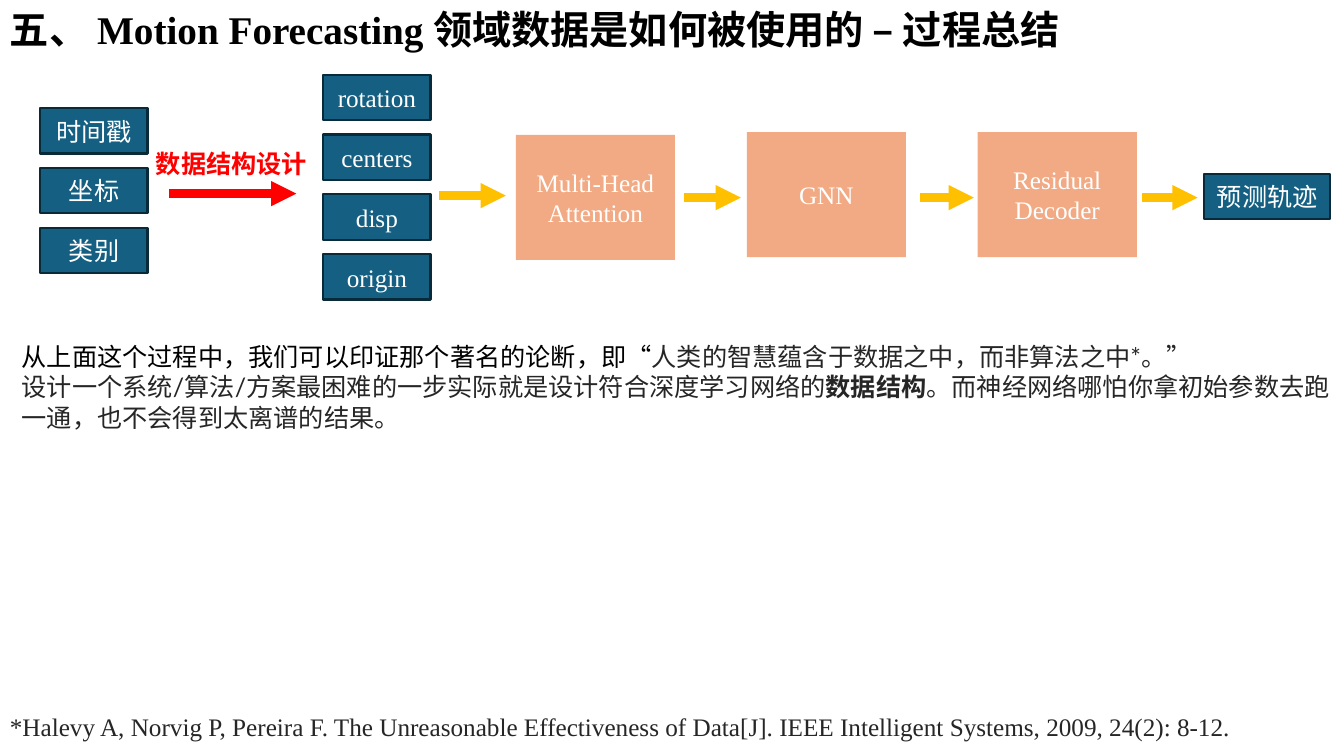
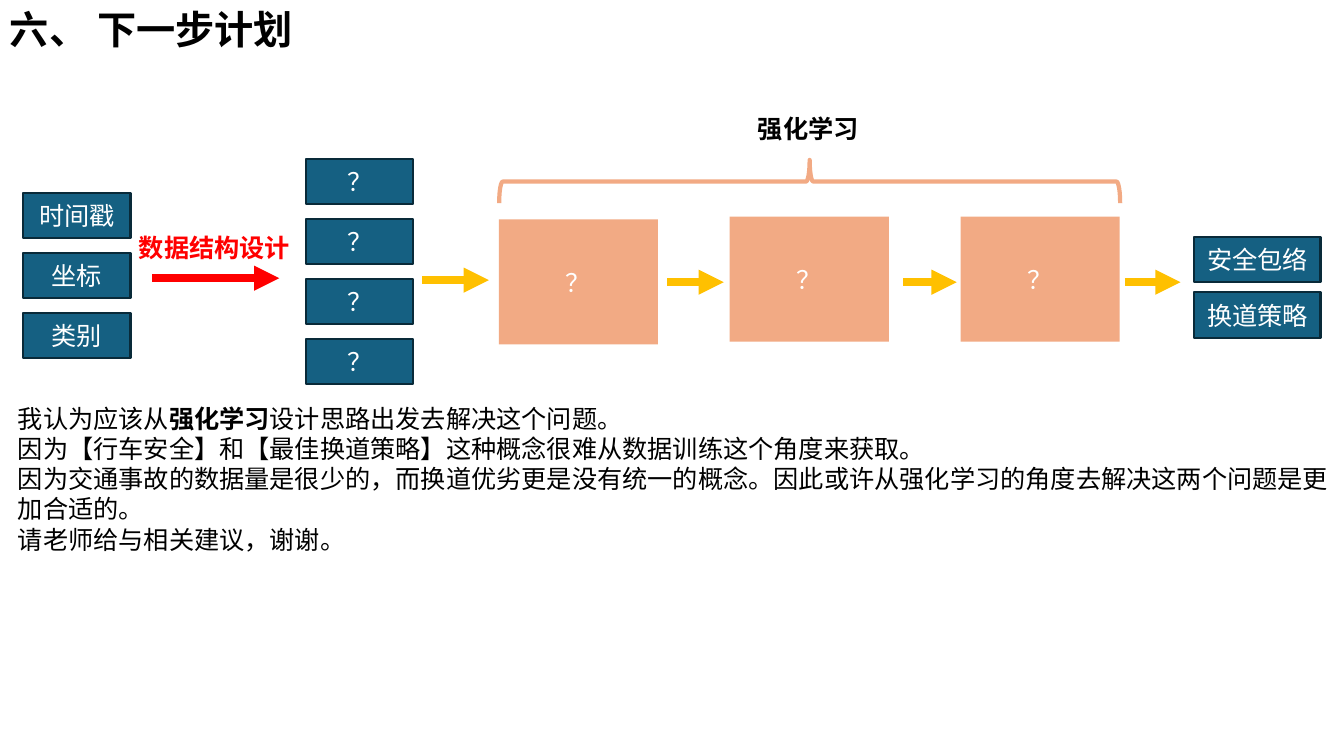
from dataclasses import dataclass, replace

from lxml.etree import SubElement
from pptx import Presentation
from pptx.dml.color import RGBColor
from pptx.enum.lang import MSO_LANGUAGE_ID
from pptx.enum.shapes import MSO_CONNECTOR, MSO_SHAPE
from pptx.enum.text import MSO_ANCHOR, PP_ALIGN
from pptx.oxml.ns import qn
from pptx.util import Cm, Pt

BLACK = RGBColor(0x00, 0x00, 0x00)
INK = RGBColor(0x26, 0x26, 0x26)
WHITE = RGBColor(0xFF, 0xFF, 0xFF)
TEAL = RGBColor(0x15, 0x60, 0x82)
NAVY = RGBColor(0x09, 0x2A, 0x39)
PEACH = RGBColor(0xF2, 0xAA, 0x84)
AMBER = RGBColor(0xFF, 0xC0, 0x00)
RED = RGBColor(0xFF, 0x00, 0x00)


@dataclass(frozen=True)
class TextStyle:
    color: RGBColor = BLACK
    bold: bool = False
    font: str = "Times New Roman"
    size: int = 18


PLAIN = TextStyle()
STRONG = TextStyle(bold=True)
HEADING = TextStyle(bold=True, size=28)
ON_FILL = TextStyle(WHITE)
CALLOUT = TextStyle(RED, bold=True)
CITATION = TextStyle(INK)
QUOTE = TextStyle(INK, font="Lato")

DATA_HEIGHT, DATA_WIDTH, RESULT_WIDTH = 1.14, 2.7, 3.18
DATA_STEP, RESULT_STEP = 1.51, 1.4
MODEL_WIDTH, MODEL_HEIGHT, MODEL_STEP = 4.01, 3.15, 5.82
MODEL_TOPS = (3.4, 3.33, 3.33)
# start, end and height of the arrows between the stages
FLOW = ((11.07, 12.75, 4.93), (17.25, 18.67, 4.98),
        (23.19, 24.54, 4.98), (28.78, 30.18, 4.98))
INPUTS = ("时间戳", "坐标", "类别")


class Deck:
    def __init__(self):
        self.presentation = Presentation()
        self.presentation.slide_width = Cm(33.87)
        self.presentation.slide_height = Cm(19.05)
        self.slide = None

    def new_slide(self, title):
        layout = self.presentation.slide_layouts[6]
        self.slide = self.presentation.slides.add_slide(layout)
        self.text(0, 0, 27.28, 1.45, [[(title, HEADING)]])

    def format_run(self, run, style):
        run.font.name = style.font
        run.font.size = Pt(style.size)
        run.font.bold = style.bold
        run.font.color.rgb = style.color
        run.font.language_id = MSO_LANGUAGE_ID.SIMPLIFIED_CHINESE

    def text(self, left, top, width, height, paragraphs):
        """Add a text box; each paragraph is a list of (words, style)."""
        area = self.slide.shapes.add_textbox(
            Cm(left), Cm(top), Cm(width), Cm(height))
        frame = area.text_frame
        frame.word_wrap = True
        for index, pieces in enumerate(paragraphs):
            paragraph = frame.add_paragraph() if index else frame.paragraphs[0]
            for words, style in pieces:
                run = paragraph.add_run()
                run.text = words
                self.format_run(run, style)

    def box(self, left, top, width, height, label, fill, border=None):
        block = self.slide.shapes.add_shape(
            MSO_SHAPE.RECTANGLE, Cm(left), Cm(top), Cm(width), Cm(height))
        block.shadow.inherit = False
        block.fill.solid()
        block.fill.fore_color.rgb = fill
        if border is None:
            block.line.fill.background()
        else:
            block.line.color.rgb = border
            block.line.width = Pt(1.5)
        frame = block.text_frame
        frame.word_wrap = True
        frame.vertical_anchor = MSO_ANCHOR.MIDDLE
        frame.text = label
        paragraph = frame.paragraphs[0]
        paragraph.alignment = PP_ALIGN.CENTER
        self.format_run(paragraph.runs[0], ON_FILL)

    def data_column(self, left, top, labels, width=DATA_WIDTH, step=DATA_STEP):
        for row, label in enumerate(labels):
            self.box(left, top + row * step, width, DATA_HEIGHT,
                     label, TEAL, NAVY)

    def arrow(self, start, end, y, color):
        link = self.slide.shapes.add_connector(
            MSO_CONNECTOR.STRAIGHT, Cm(start), Cm(y), Cm(end), Cm(y))
        link.line.color.rgb = color
        link.line.width = Pt(6)
        SubElement(link.line._get_or_add_ln(), qn("a:tailEnd"), type="triangle")
        SubElement(link._element.spPr, qn("a:effectLst"))

    def brace_above(self, left, top, width, height):
        """Add a brace that spans width and points up."""
        brace = self.slide.shapes.add_shape(
            MSO_SHAPE.RIGHT_BRACE,
            Cm(left + (width - height) / 2), Cm(top + (height - width) / 2),
            Cm(height), Cm(width))
        brace.rotation = 270
        brace.shadow.inherit = False
        brace.fill.background()
        brace.line.color.rgb = PEACH
        brace.line.width = Pt(3)

    def pipeline(self, features, models, results, results_at, dx=0, dy=0):
        """Draw inputs, features, models and results, shifted by dx and dy."""
        self.data_column(1.02 + dx, 2.73 + dy, INPUTS)
        self.arrow(4.27 + dx, 7.47 + dx, 4.88 + dy, RED)
        self.text(3.68 + dx, 3.61 + dy, 4.75, 1.02,
                  [[("数据结构设计", CALLOUT)]])
        self.data_column(8.15 + dx, 1.88 + dy, features)
        for column, (label, top) in enumerate(zip(models, MODEL_TOPS)):
            self.box(13 + column * MODEL_STEP + dx, top + dy,
                     MODEL_WIDTH, MODEL_HEIGHT, label, PEACH)
        for start, end, y in FLOW:
            self.arrow(start + dx, end + dx, y + dy, AMBER)
        self.data_column(*results_at, results, RESULT_WIDTH, RESULT_STEP)


def add_summary(deck):
    deck.new_slide("五、 Motion Forecasting 领域数据是如何被使用的 – 过程总结")
    deck.pipeline(("rotation", "centers", "disp", "origin"),
                  ("Multi-Head Attention", "GNN", "Residual Decoder"),
                  ("预测轨迹",), (30.35, 4.39))
    deck.text(0.3, 8.48, 33.71, 2.57, [
        [("从上面这个过程中，我们可以印证那个著名的论断，即“", PLAIN),
         ("人类的智慧蕴含于数据之中，而非算法之中*。”", QUOTE)],
        [("设计一个系统/算法/方案最困难的一步实际就是设计符合深度学习网络的", QUOTE),
         ("数据结构", replace(QUOTE, bold=True)),
         ("。而神经网络哪怕你拿初始参数去跑", QUOTE)],
        [("一通，也不会得到太离谱的结果。", QUOTE)],
    ])
    deck.text(0, 17.81, 32.31, 1.02, [[(
        "*Halevy A, Norvig P, Pereira F. The Unreasonable Effectiveness of "
        "Data[J]. IEEE Intelligent Systems, 2009, 24(2): 8-12.", CITATION)]])


def add_next_steps(deck):
    deck.new_slide("六、 下一步计划")
    deck.pipeline("？" * 4, "？" * 3, ("安全包络", "换道策略"),
                  (30.1, 5.97), dx=-0.43, dy=2.13)
    deck.brace_above(12.58, 4.03, 15.65, 1.09)
    deck.text(18.85, 2.74, 3.3, 1.02, [[("强化学习", STRONG)]])
    deck.text(0.2, 10.03, 33.87, 4.11, [
        [("我认为应该从", PLAIN), ("强化学习", STRONG),
         ("设计思路出发去解决这个问题。", PLAIN)],
        [("因为【行车安全】和【最佳换道策略】这种概念很难从数据训练这个角度来获取。", PLAIN)],
        [("因为交通事故的数据量是很少的，而换道优劣更是没有统一的概念。"
          "因此或许从强化学习的角度去解决这两个问题是更", PLAIN)],
        [("加合适的。", PLAIN)],
        [("请老师给与相关建议，谢谢。", PLAIN)],
    ])


def main():
    deck = Deck()
    add_summary(deck)
    add_next_steps(deck)
    deck.presentation.save("out.pptx")


if __name__ == "__main__":
    main()
